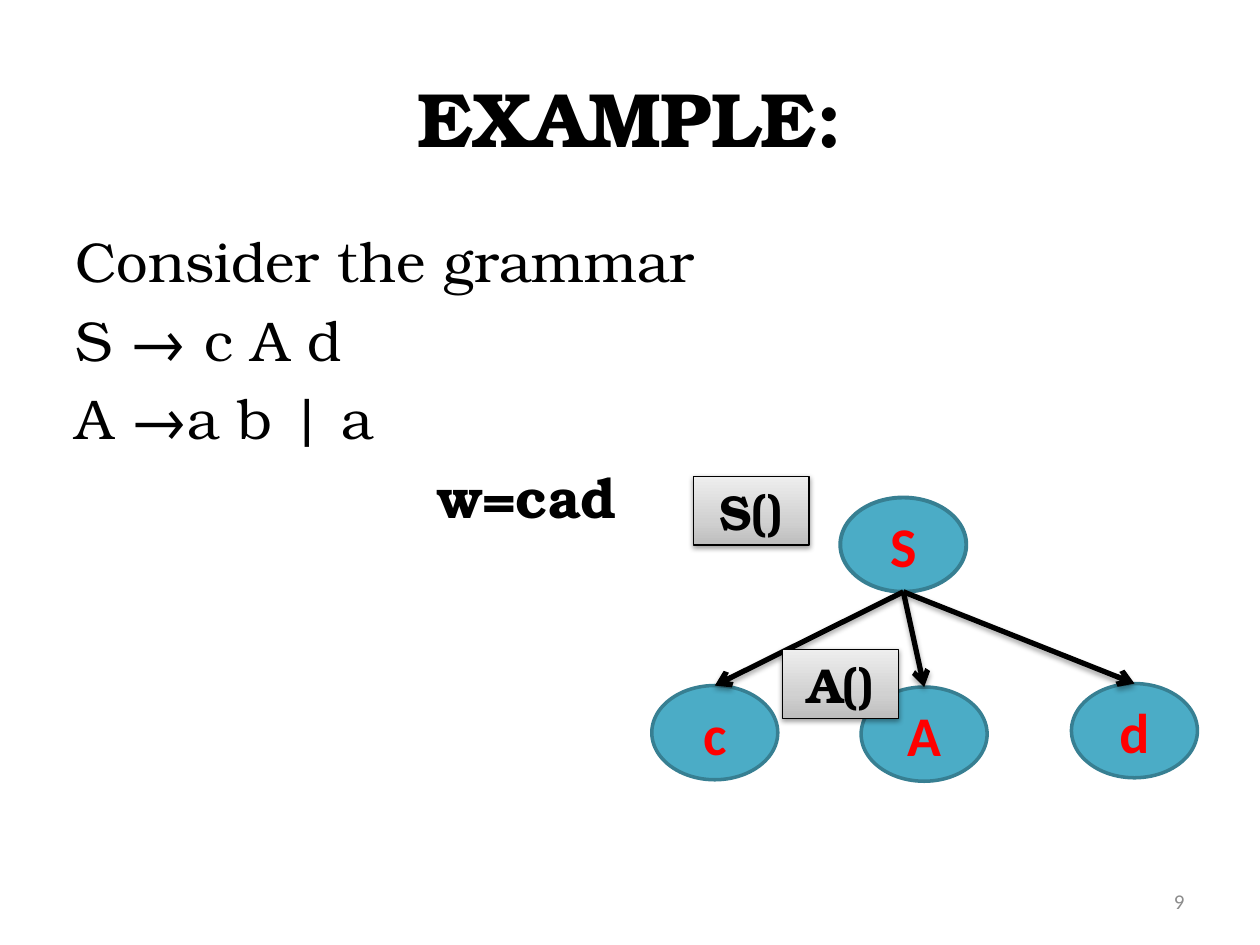
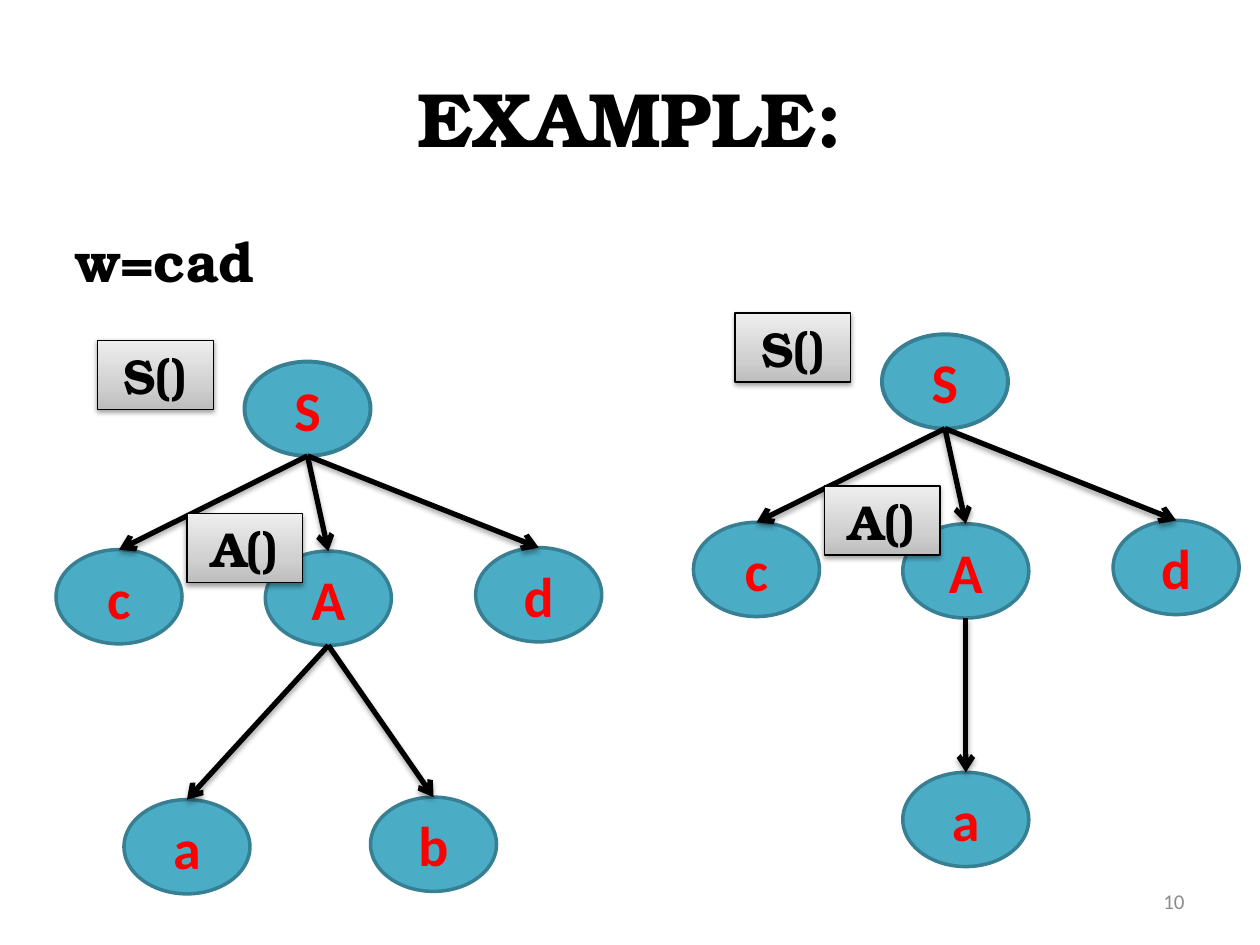
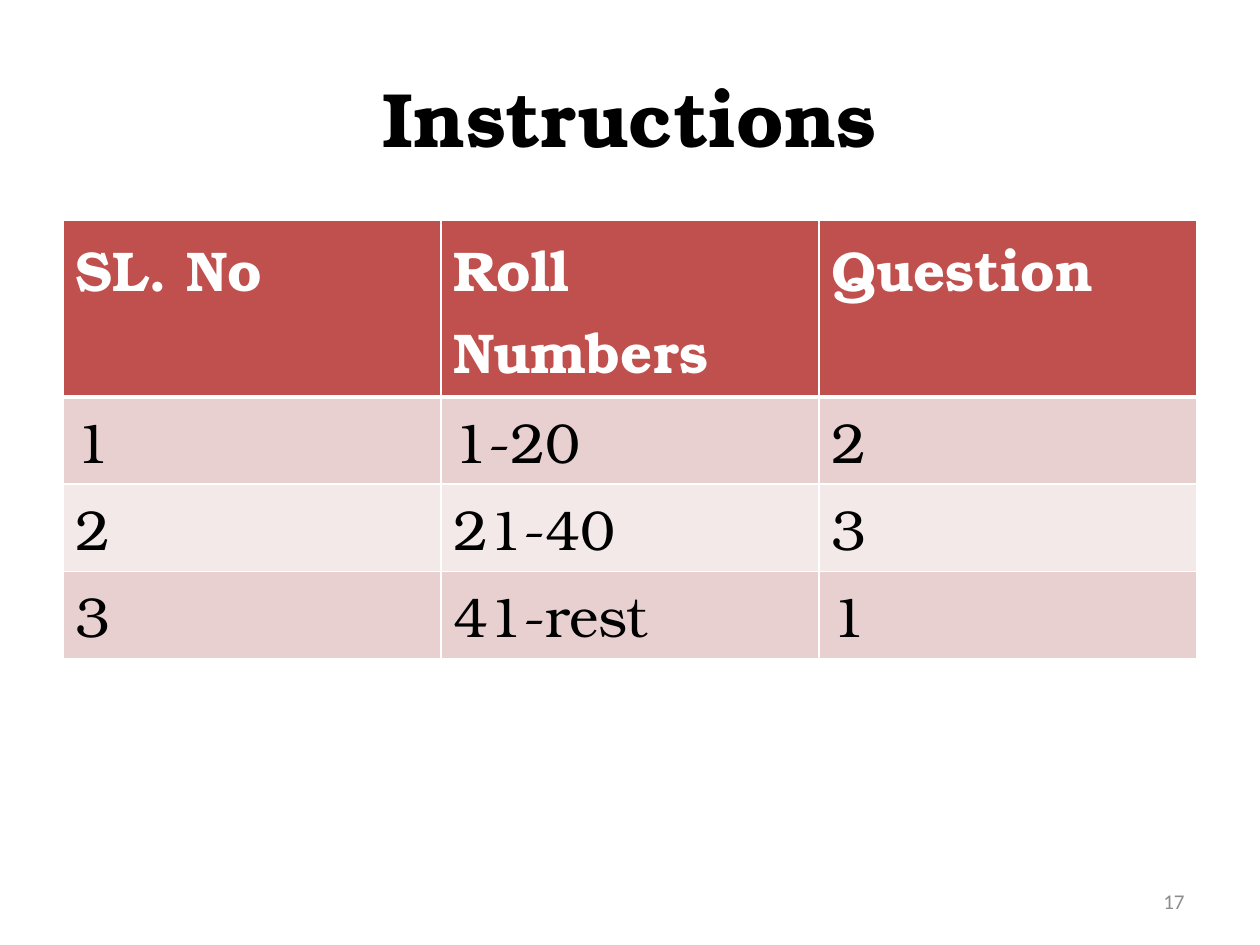
"""Build three slides on recursive-descent parsing: two with parse trees, one with a table."""
from copy import deepcopy

from pptx import Presentation
from pptx.dml.color import RGBColor
from pptx.enum.shapes import MSO_CONNECTOR, MSO_SHAPE
from pptx.enum.text import MSO_ANCHOR, PP_ALIGN
from pptx.oxml import parse_xml
from pptx.oxml.ns import nsdecls, qn
from pptx.util import Cm, Pt

LEFT, CENTER, RIGHT = PP_ALIGN.LEFT, PP_ALIGN.CENTER, PP_ALIGN.RIGHT
TOP, MIDDLE = MSO_ANCHOR.TOP, MSO_ANCHOR.MIDDLE
OVAL, RECTANGLE, STRAIGHT = MSO_SHAPE.OVAL, MSO_SHAPE.RECTANGLE, MSO_CONNECTOR.STRAIGHT

SERIF, SANS = "TeX Gyre Bonum", "Calibri"
BLACK, WHITE, RED, GREY = "000000", "FFFFFF", "FF0000", "8C8C8C"
NODE_FILL, NODE_LINE = "4BACC6", "377F92"
CALL_GRADIENT = [(0, "BDBDBD"), (0.35, "D1D1D1"), (1, "EEEEEE")]
HEADER_FILL, BAND_FILLS = "C0504D", ["E8D0D0", "F4E9E9"]

TITLE_AREA = (1.27, 0.76, 22.86, 3.18)
BODY_AREA = (1.27, 4.45, 22.86, 12.57)
NUMBER_AREA = (18.2, 17.65, 5.93, 1.02)
NODE_SIZE, CALL_SIZE = (2.54, 1.9), (2.33, 1.39)
WORD_INDENT = 7.3
HEADER_HEIGHT, ROW_HEIGHT = 3.55, 1.76

ROOT = (0, 0)
BRANCH = (0.42, 3.82)
CHILDREN = [(ROOT, "A", BRANCH), (ROOT, "d", (4.66, 3.75)), (ROOT, "c", (-3.8, 3.79))]
CALLS = [("S()", (-2.96, -0.43)), ("A()", (-1.16, 3.06))]
FIRST_CHOICE = [(BRANCH, "a", (-2.43, 8.83)), (BRANCH, "b", (2.54, 8.78))]
SECOND_CHOICE = [(BRANCH, "a", (0.42, 8.83))]

EXAMPLES = [
    {"number": "9",
     "lines": [("Consider the grammar", False, 0), ("S → c A d", False, 0),
               ("A →a b | a", False, 0), ("w=cad", True, WORD_INDENT)],
     "trees": [((16.94, 10.03), [])]},
    {"number": "10",
     "lines": [("w=cad", True, 0)],
     "trees": [((4.93, 7.29), FIRST_CHOICE), ((17.78, 6.74), SECOND_CHOICE)]},
]
INSTRUCTIONS = [
    ["SL. No", "Roll Numbers", "Question"],
    ["1", "1-20", "2"],
    ["2", "21-40", "3"],
    ["3", "41-rest", "1"],
]


def color(value):
    return RGBColor.from_string(value)


def style(paragraph, size, face, ink, bold=False, align=LEFT):
    paragraph.alignment = align
    font = paragraph.font
    font.size, font.name, font.bold = Pt(size), face, bold
    font.color.rgb = color(ink)


def add_text(slide, area, lines, size, face, ink, align=LEFT, anchor=TOP):
    frame = slide.shapes.add_textbox(*map(Cm, area)).text_frame
    frame.word_wrap = True
    frame.vertical_anchor = anchor
    for index, (text, bold, indent) in enumerate(lines):
        paragraph = frame.add_paragraph() if index else frame.paragraphs[0]
        paragraph.text = text
        style(paragraph, size, face, ink, bold, align)
        if anchor == TOP:
            paragraph.space_before = Pt(size * 0.2)
        if indent:
            paragraph._p.get_or_add_pPr().set("marL", str(Cm(indent)))


def add_frame(prs, title, number):
    slide = prs.slides.add_slide(prs.slide_layouts[6])
    add_text(slide, TITLE_AREA, [(title, True, 0)], 44, SERIF, BLACK, CENTER, MIDDLE)
    add_text(slide, NUMBER_AREA, [(number, False, 0)], 12, SANS, GREY, RIGHT, MIDDLE)
    return slide


def cast_shadow(properties, distance, opacity):
    for effects in properties.findall(qn("a:effectLst")):
        properties.remove(effects)
    properties.append(parse_xml(
        f'<a:effectLst {nsdecls("a")}><a:outerShdw blurRad="{Pt(3.1)}" dist="{Pt(distance)}" '
        f'dir="5400000" rotWithShape="0"><a:srgbClr val="{BLACK}"><a:alpha val="{opacity}000"/>'
        '</a:srgbClr></a:outerShdw></a:effectLst>'))


def add_label(slide, kind, at, size, text, points, face, ink, line, width):
    shape = slide.shapes.add_shape(kind, *map(Cm, at + size))
    shape.shadow.inherit = False
    shape.line.color.rgb = color(line)
    shape.line.width = Pt(width)
    shape.text_frame.text = text
    shape.text_frame.vertical_anchor = MIDDLE
    style(shape.text_frame.paragraphs[0], points, face, ink, True, CENTER)
    return shape


def add_node(slide, at, text, width=2):
    node = add_label(slide, OVAL, at, NODE_SIZE, text, 32, SANS, RED, NODE_LINE, width)
    node.fill.solid()
    node.fill.fore_color.rgb = color(NODE_FILL)


def add_call(slide, at, text):
    call = add_label(slide, RECTANGLE, at, CALL_SIZE, text, 28, SERIF, BLACK, BLACK, 0.75)
    call.text_frame.word_wrap = False
    call.fill.gradient()
    call.fill.gradient_angle = 90
    stops = call._element.spPr.find(".//" + qn("a:gsLst"))
    stops.append(deepcopy(stops[0]))
    for stop, (position, tint) in zip(call.fill.gradient_stops, CALL_GRADIENT):
        stop.position = position
        stop.color.rgb = color(tint)
    cast_shadow(call._element.spPr, 1.6, 38)


def add_arrow(slide, parent, child):
    width, height = NODE_SIZE
    ends = (parent[0] + width / 2, parent[1] + height, child[0] + width / 2, child[1])
    arrow = slide.shapes.add_connector(STRAIGHT, *map(Cm, ends))
    arrow.line.color.rgb = color(BLACK)
    arrow.line.width = Pt(3)
    arrow.line._get_or_add_ln().append(parse_xml(f'<a:tailEnd {nsdecls("a")} type="arrow"/>'))
    cast_shadow(arrow._element.spPr, 1.8, 35)


def add_tree(slide, origin, leaves):
    def place(offset):
        return origin[0] + offset[0], origin[1] + offset[1]

    branches = CHILDREN + leaves
    add_node(slide, origin, "S", 2.25)
    for _, text, offset in branches:
        add_node(slide, place(offset), text)
    for parent, _, offset in branches:
        add_arrow(slide, place(parent), place(offset))
    for text, offset in CALLS:
        add_call(slide, place(offset), text)


def add_borders(cell, widths):
    properties = cell._tc.get_or_add_tcPr()
    for side, width in widths.items():
        properties.append(parse_xml(
            f'<a:ln{side} {nsdecls("a")} w="{Pt(width)}"><a:solidFill>'
            f'<a:srgbClr val="{WHITE}"/></a:solidFill></a:ln{side}>'))


def add_instructions(slide, rows):
    left, top, width, _ = BODY_AREA
    heights = [HEADER_HEIGHT] + [ROW_HEIGHT] * (len(rows) - 1)
    area = (left, top, width, sum(heights))
    table = slide.shapes.add_table(len(rows), len(rows[0]), *map(Cm, area)).table
    for r, row in enumerate(rows):
        header = r == 0
        table.rows[r].height = Cm(heights[r])
        for c, text in enumerate(row):
            cell = table.cell(r, c)
            cell.text = text
            paragraph = cell.text_frame.paragraphs[0]
            style(paragraph, 32, SERIF, WHITE if header else BLACK, header)
            add_borders(cell, {"L": 1, "R": 1, "T": 3 if r == 1 else 1, "B": 3 if header else 1})
            cell.fill.solid()
            cell.fill.fore_color.rgb = color(HEADER_FILL if header else BAND_FILLS[(r - 1) % 2])


def main():
    prs = Presentation()
    prs.slide_width, prs.slide_height = Cm(25.4), Cm(19.05)
    for example in EXAMPLES:
        slide = add_frame(prs, "EXAMPLE:", example["number"])
        add_text(slide, BODY_AREA, example["lines"], 32, SERIF, BLACK)
        for origin, leaves in example["trees"]:
            add_tree(slide, origin, leaves)
    add_instructions(add_frame(prs, "Instructions", "17"), INSTRUCTIONS)
    prs.save("out.pptx")


if __name__ == "__main__":
    main()
